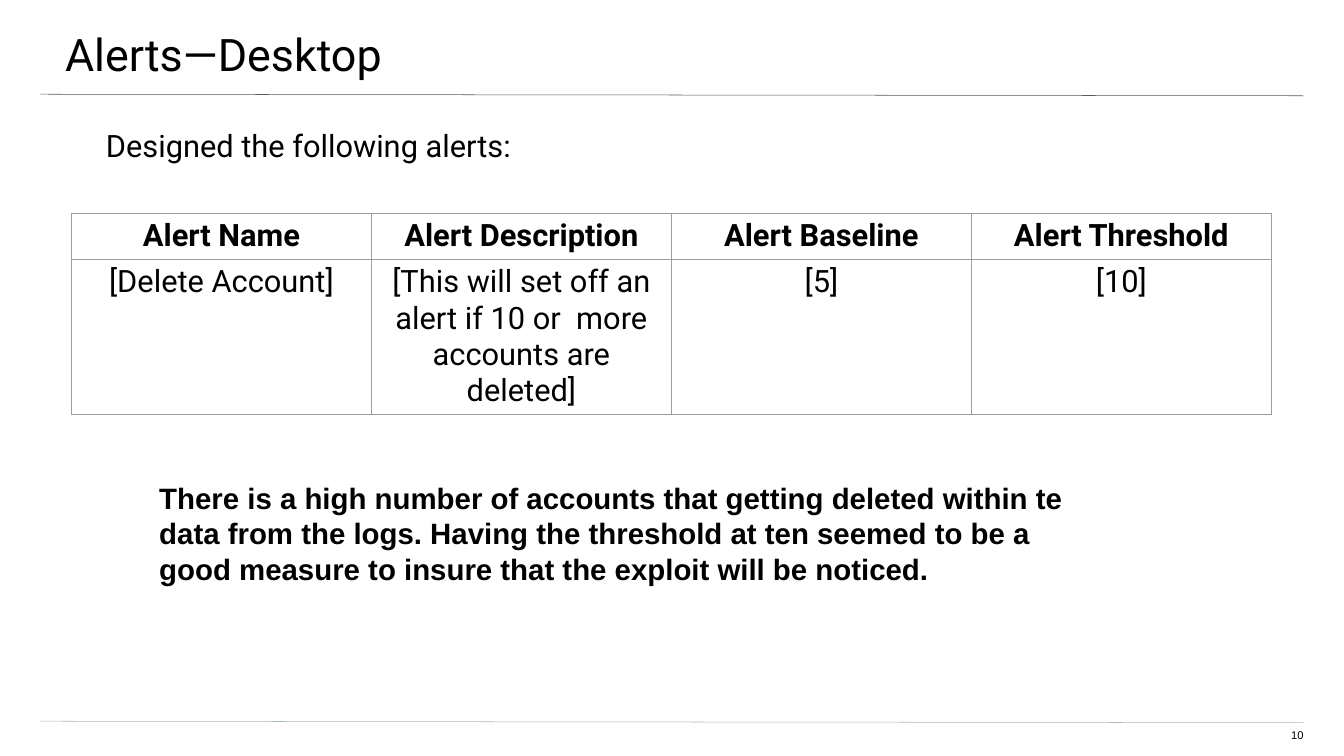
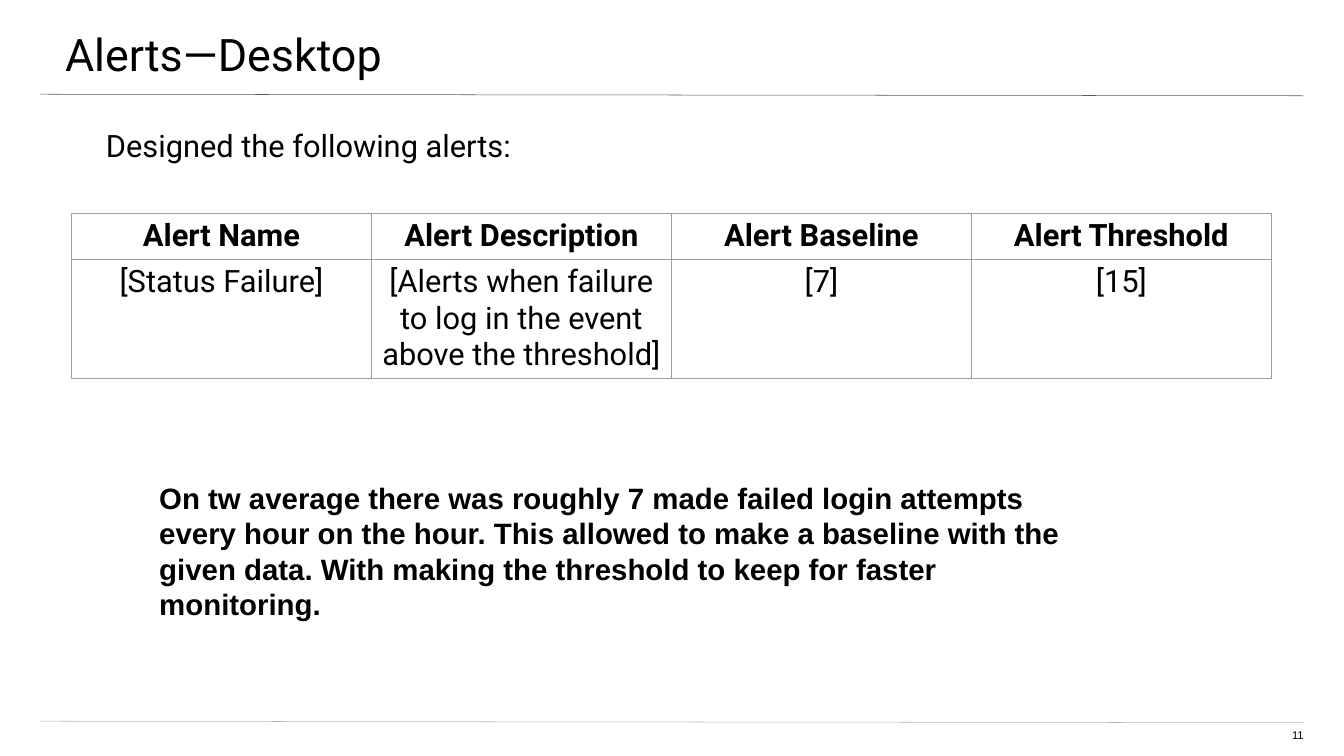
from lxml.etree import SubElement
from pptx import Presentation
from pptx.dml.color import RGBColor
from pptx.enum.shapes import MSO_CONNECTOR
from pptx.enum.text import MSO_ANCHOR, MSO_AUTO_SIZE, PP_ALIGN
from pptx.oxml.ns import qn
from pptx.util import Inches, Pt

BLACK, WHITE = "000000", "FFFFFF"
TITLE_RULE, FOOTER_RULE, GRID = "595959", "A9B7C0", "9E9E9E"
HEADINGS = ["Alert Name", "Alert Description", "Alert Baseline", "Alert Threshold"]

ALERTS = [
    (10,
     ["[Delete Account]",
      "[This will set off an alert if 10 or  more accounts are deleted]",
      "[5]", "[10]"],
     "There is a high number of accounts that getting deleted within te data "
     "from the logs. Having the threshold at ten seemed to be a good measure "
     "to insure that the exploit will be noticed.",
     2.32),
    (11,
     ["[Status Failure]",
      "[Alerts when failure to log in the event above the threshold]",
      "[7]", "[15]"],
     "On tw average there was roughly 7 made failed login attempts every hour "
     "on the hour. This allowed to make a baseline with the given data. With "
     "making the threshold to keep for faster monitoring.",
     3.03),
]


def color(value):
    return RGBColor.from_string(value)


def write(frame, text, size=44, font="Roboto", bold=False, align=PP_ALIGN.LEFT):
    """Put one formatted paragraph into a text frame."""
    frame.word_wrap = True
    paragraph = frame.paragraphs[0]
    paragraph.alignment = align
    span = paragraph.add_run()
    span.text = text
    span.font.name = font
    span.font.size = Pt(size)
    span.font.bold = bold
    span.font.color.rgb = color(BLACK)


class AlertDeck:
    def __init__(self):
        self.deck = Presentation()
        self.deck.slide_width = Inches(26.66)
        self.deck.slide_height = Inches(15)
        self.page = None

    def add_page(self, title, number):
        self.page = self.deck.slides.add_slide(self.deck.slide_layouts[6])
        background = self.page.background.fill
        background.solid()
        background.fore_color.rgb = color(WHITE)
        self.rule(1.87, TITLE_RULE)
        self.rule(14.31, FOOTER_RULE)
        self.text(-0.04, 0, 26.73, 1.56, title, insets=(1.33, 0.53, 0.8, 0.27), size=64)
        self.text(25.1, 14.46, 0.76, 0.31, str(number), insets=(0, 0, 0, 0.27),
                  size=16, font="Arial", align=PP_ALIGN.RIGHT)

    def rule(self, top, line_color):
        line = self.page.shapes.add_connector(
            MSO_CONNECTOR.STRAIGHT, Inches(0.8), Inches(top),
            Inches(25.86), Inches(top + 0.03))
        line.line.color.rgb = color(line_color)
        line.line.width = Pt(0.75)
        SubElement(line._element.spPr, qn("a:effectLst"))

    def text(self, left, top, width, height, text, insets=(0.1,) * 4,
             grow=False, **style):
        box = self.page.shapes.add_textbox(
            Inches(left), Inches(top), Inches(width), Inches(height))
        frame = box.text_frame
        frame.vertical_anchor = MSO_ANCHOR.TOP
        frame.auto_size = MSO_AUTO_SIZE.SHAPE_TO_FIT_TEXT if grow else MSO_AUTO_SIZE.NONE
        (frame.margin_left, frame.margin_top,
         frame.margin_right, frame.margin_bottom) = map(Inches, insets)
        write(frame, text, **style)

    def table(self, left, top, column_width, row_heights, rows):
        columns = len(rows[0])
        table = self.page.shapes.add_table(
            len(rows), columns, Inches(left), Inches(top),
            Inches(column_width * columns), Inches(sum(row_heights))).table
        table.first_row = table.horz_banding = False
        for column in table.columns:
            column.width = Inches(column_width)
        for index, (values, height) in enumerate(zip(rows, row_heights)):
            table.rows[index].height = Inches(height)
            for cell, value in zip(table.rows[index].cells, values):
                self.cell(cell, value, bold=index == 0)

    def cell(self, cell, value, bold):
        cell.margin_left = cell.margin_right = Inches(0.1)
        cell.margin_top = cell.margin_bottom = Inches(0.1)
        cell.vertical_anchor = MSO_ANCHOR.TOP
        # Borders come before the fill in the cell properties
        properties = cell._tc.get_or_add_tcPr()
        for side in ("lnL", "lnR", "lnT", "lnB"):
            border = SubElement(properties, qn(f"a:{side}"), w=str(Pt(0.75)))
            fill = SubElement(border, qn("a:solidFill"))
            SubElement(fill, qn("a:srgbClr"), val=GRID)
        cell.fill.background()
        write(cell.text_frame, value, bold=bold, align=PP_ALIGN.CENTER)


def main():
    builder = AlertDeck()
    for number, alert, reason, reason_height in ALERTS:
        builder.add_page("Alerts—Desktop", number)
        # Introduction, alert table, reasoning
        builder.text(0.77, 2.51, 25.09, 10.79, "Designed the following alerts:",
                     insets=(1.33, 0, 1.33, 2.67))
        builder.table(1.42, 4.23, 5.95, (0.42, 0.93), [HEADINGS, alert])
        builder.text(3.06, 9.43, 18.12, reason_height, reason, grow=True,
                     size=42, font="Arial", bold=True)
    builder.deck.save("out.pptx")


if __name__ == "__main__":
    main()
